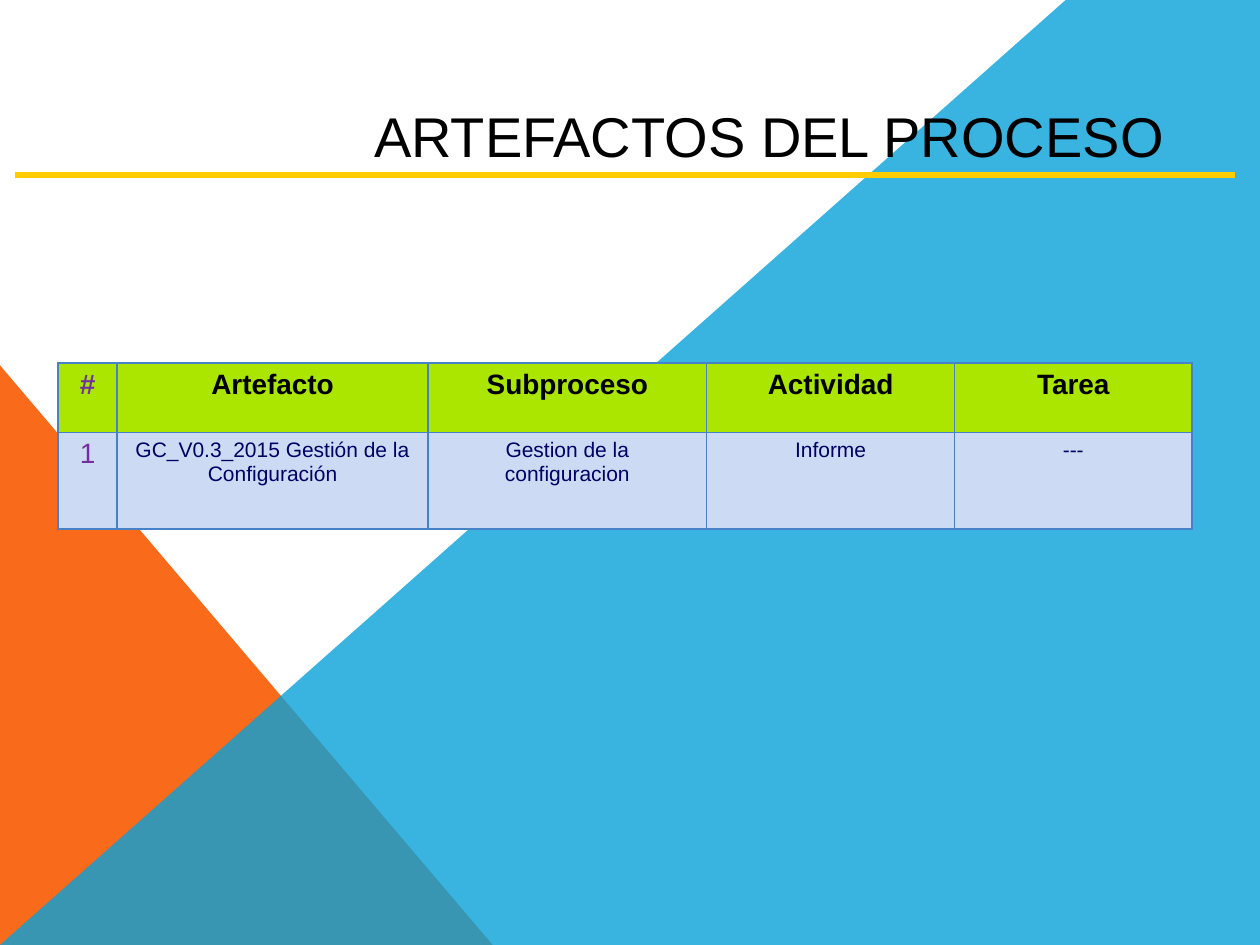
from lxml.etree import SubElement
from pptx import Presentation
from pptx.dml.color import RGBColor
from pptx.enum.shapes import MSO_CONNECTOR, MSO_SHAPE
from pptx.enum.text import MSO_ANCHOR, PP_ALIGN
from pptx.oxml import parse_xml
from pptx.oxml.ns import nsdecls, qn
from pptx.util import Pt

TITLE = "ARTEFACTOS DEL PROCESO"
ROWS = [
    ["#", "Artefacto", "Subproceso", "Actividad", "Tarea"],
    ["1", "GC_V0.3_2015 Gestión de la Configuración",
     "Gestion de la configuracion", "Informe", "---"],
]
COLUMN_WIDTHS = [33.8, 177.8, 159.1, 141.8, 135.5]
ROW_HEIGHTS = [39.6, 55.4]
WIDTH, HEIGHT = 720, 540
BAND_OUTLINE = [(0, HEIGHT), (609, 0), (WIDTH, 0), (WIDTH, HEIGHT)]
FONT = "Arial"

BLACK = RGBColor(0x00, 0x00, 0x00)
ORANGE = RGBColor(0xF9, 0x6A, 0x1B)
BLUE = RGBColor(0x08, 0xA1, 0xD9)
YELLOW = RGBColor(0xFF, 0xCC, 0x00)
GREEN = RGBColor(0xAA, 0xE6, 0x00)
PALE_BLUE = RGBColor(0xCD, 0xDA, 0xF3)
PURPLE = RGBColor(0x70, 0x30, 0xA0)
NAVY = RGBColor(0x00, 0x00, 0x66)
BORDER = RGBColor(0x47, 0x82, 0xC9)


def fill_plain(shape, color):
    shape.fill.solid()
    shape.fill.fore_color.rgb = color
    shape.line.fill.background()
    shape.shadow.inherit = False


def add_background(slide):
    triangle = slide.shapes.add_shape(
        MSO_SHAPE.RIGHT_TRIANGLE, Pt(0), Pt(208.8), Pt(281.5), Pt(331.2))
    fill_plain(triangle, ORANGE)

    start, *corners = [(Pt(x), Pt(y)) for x, y in BAND_OUTLINE]
    builder = slide.shapes.build_freeform(*start)
    builder.add_line_segments(corners, close=True)
    band = builder.convert_to_shape()
    fill_plain(band, BLUE)
    color = band.element.spPr.find(qn("a:solidFill"))[0]
    SubElement(color, qn("a:alpha"), val="80000")


def add_title(slide):
    title = slide.shapes.title
    title.element.getparent().append(title.element)
    title.left, title.top, title.width, title.height = (
        Pt(206.6), Pt(54), Pt(470.2), Pt(46.1))
    frame = title.text_frame
    frame.text = TITLE
    frame.word_wrap = False
    frame.vertical_anchor = MSO_ANCHOR.MIDDLE
    paragraph = frame.paragraphs[0]
    paragraph.alignment = PP_ALIGN.LEFT
    paragraph.font.name = FONT
    paragraph.font.size = Pt(32)
    paragraph.font.color.rgb = BLACK


def add_borders(cell):
    properties = cell._tc.get_or_add_tcPr()
    for index, side in enumerate(("lnL", "lnR", "lnT", "lnB")):
        properties.insert(index, parse_xml(
            f'<a:{side} {nsdecls("a")} w="{Pt(1)}"><a:solidFill>'
            f'<a:srgbClr val="{BORDER}"/></a:solidFill></a:{side}>'))


def add_table(slide):
    table = slide.shapes.add_table(
        len(ROWS), len(COLUMN_WIDTHS), Pt(33.1), Pt(207.4),
        Pt(sum(COLUMN_WIDTHS)), Pt(sum(ROW_HEIGHTS))).table
    for column, width in zip(table.columns, COLUMN_WIDTHS):
        column.width = Pt(width)
    for row, height in zip(table.rows, ROW_HEIGHTS):
        row.height = Pt(height)
    for r, texts in enumerate(ROWS):
        header = r == 0
        for c, text in enumerate(texts):
            number = c == 0
            cell = table.cell(r, c)
            cell.text = text
            cell.fill.solid()
            cell.fill.fore_color.rgb = GREEN if header else PALE_BLUE
            add_borders(cell)
            paragraph = cell.text_frame.paragraphs[0]
            paragraph.alignment = PP_ALIGN.CENTER
            font = paragraph.font
            font.name = FONT
            font.size = Pt(16 if header or number else 12)
            font.bold = header
            font.color.rgb = PURPLE if number else BLACK if header else NAVY


def add_rule(slide):
    rule = slide.shapes.add_connector(
        MSO_CONNECTOR.STRAIGHT, Pt(8.6), Pt(100), Pt(705.6), Pt(100))
    rule.line.color.rgb = YELLOW
    rule.line.width = Pt(3)
    SubElement(rule.element.spPr, qn("a:effectLst"))


def main():
    presentation = Presentation()
    presentation.slide_width = Pt(WIDTH)
    presentation.slide_height = Pt(HEIGHT)
    slide = presentation.slides.add_slide(presentation.slide_layouts[5])
    add_background(slide)
    add_title(slide)
    add_table(slide)
    add_rule(slide)
    presentation.save("out.pptx")


if __name__ == "__main__":
    main()
